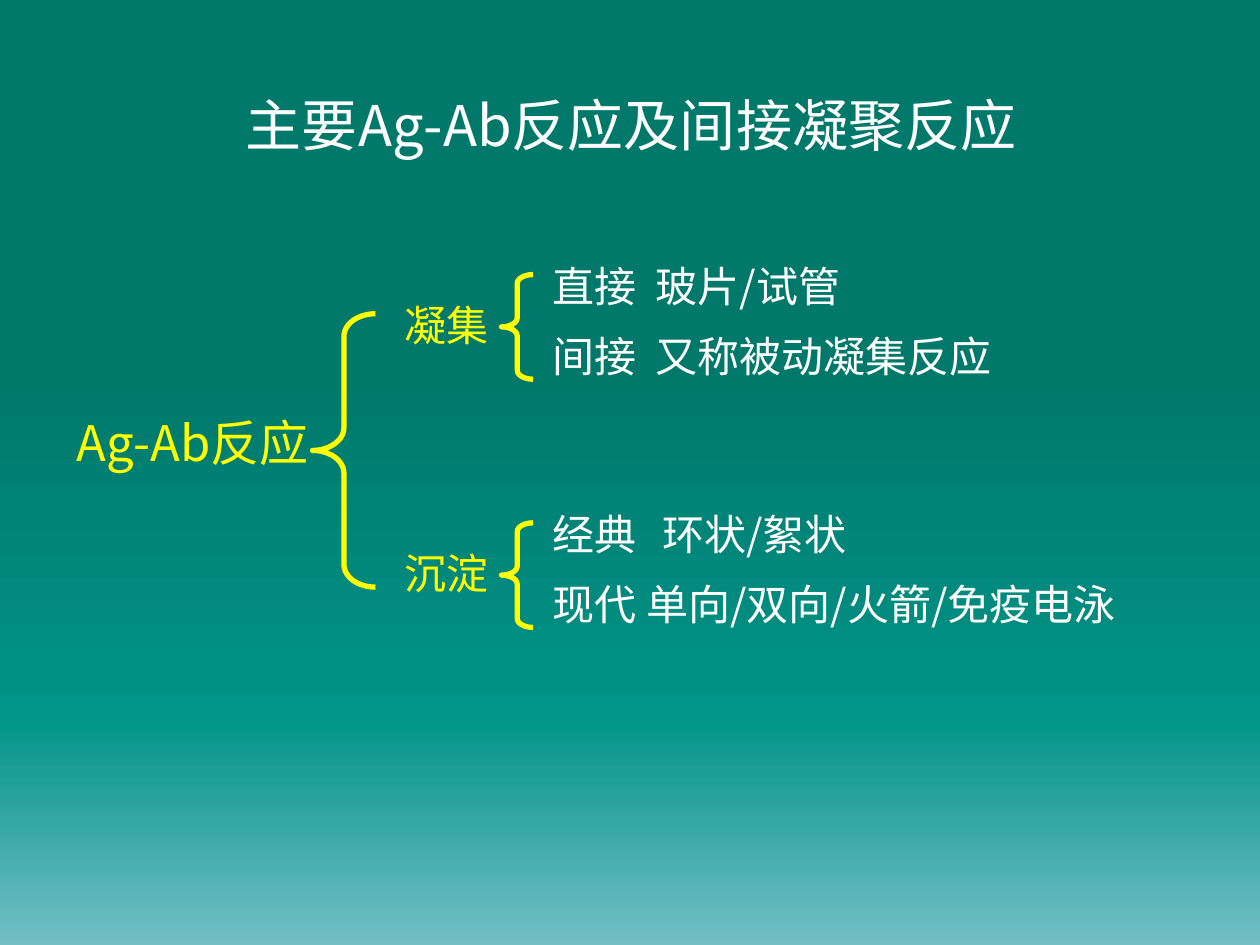
from lxml import etree
from pptx import Presentation
from pptx import util as u
from pptx.dml.color import RGBColor
from pptx.enum import shapes, text
from pptx.oxml import parse_xml
from pptx.oxml.ns import nsdecls, qn

TITLE = "主要Ag-Ab反应及间接凝聚反应"
ROOT = "Ag-Ab反应"
BRANCHES = [
    {"label": "凝集", "kinds": ["直接  玻片/试管", "间接  又称被动凝集反应"], "methods": None},
    {"label": "沉淀", "kinds": ["经典", "现代 单向/双向/火箭/免疫电泳"], "methods": "环状/絮状"},
]
COLORS = {"text": "FFFFFF", "accent": "FFFF00"}
BACKDROP = [(0, "00786A"), (39, "00786A"), (76, "019488"), (100, "72BFC5")]
FONT = "Noto Sans CJK SC"

COLUMNS = {"root": 0.51, "trunk": 2.48, "label": 3.11, "fork": 3.98, "kinds": 4.29, "methods": 5.16}
WIDTHS = {"root": 2.1, "trunk": 0.5, "label": 1.1, "fork": 0.25, "kinds": 5, "methods": 2.75}
FIRST_ROW, ROW_STEP = 2.02, 1.97
LABEL_DROP, FORK_DROP, FORK_HEIGHT = 0.31, 0.16, 0.83
TRUNK_TOP, TRUNK_HEIGHT, ROOT_TOP = 2.49, 2.17, 3.28


def style(paragraph, size, color):
    font = paragraph.font
    font.size = u.Pt(size)
    font.name = FONT
    font.color.rgb = RGBColor.from_string(COLORS[color])
    props = paragraph._p.get_or_add_pPr().find(qn("a:defRPr"))
    etree.SubElement(props, qn("a:ea")).set("typeface", FONT)


def add_words(slide, column, top, lines, color, size=24):
    height = 0.5 * len(lines)
    box = slide.shapes.add_textbox(
        u.Inches(COLUMNS[column]), u.Inches(top), u.Inches(WIDTHS[column]), u.Inches(height))
    frame = box.text_frame
    frame.word_wrap = True
    frame.auto_size = text.MSO_AUTO_SIZE.SHAPE_TO_FIT_TEXT
    frame.text = "\n".join(lines)
    for index, paragraph in enumerate(frame.paragraphs):
        if index:
            paragraph.space_before = u.Pt(11)
        style(paragraph, size, color)
    return frame


def add_brace(slide, column, top, height, curve):
    brace = slide.shapes.add_shape(
        shapes.MSO_SHAPE.LEFT_BRACE, u.Inches(COLUMNS[column]), u.Inches(top),
        u.Inches(WIDTHS[column]), u.Inches(height))
    brace.shadow.inherit = False
    brace.fill.background()
    brace.line.color.rgb = RGBColor.from_string(COLORS["accent"])
    brace.line.width = u.Pt(3)
    brace.adjustments[0] = curve


def paint_backdrop(slide):
    fill = slide.background.fill
    fill.gradient()
    fill.gradient_angle = 270
    stops = slide.background._cSld.find(".//" + qn("a:gsLst"))
    for stop in list(stops):
        stops.remove(stop)
    for percent, color in BACKDROP:
        stops.append(parse_xml(
            f'<a:gs {nsdecls("a")} pos="{percent * 1000}"><a:srgbClr val="{color}"/></a:gs>'))


def main():
    deck = Presentation()
    deck.slide_width, deck.slide_height = u.Inches(10), u.Inches(7.5)
    slide = deck.slides.add_slide(deck.slide_layouts[5])
    paint_backdrop(slide)

    title = slide.shapes.title
    title.left, title.top, title.width, title.height = map(u.Inches, (0.51, 0.36, 9, 1.25))
    title.text_frame.text = TITLE
    title.text_frame.vertical_anchor = text.MSO_ANCHOR.MIDDLE
    heading = title.text_frame.paragraphs[0]
    heading.alignment = text.PP_ALIGN.CENTER
    style(heading, 32, "text")

    root = add_words(slide, "root", ROOT_TOP, [ROOT], "accent", 28)
    root.paragraphs[0].line_spacing = 0.9
    add_brace(slide, "trunk", TRUNK_TOP, TRUNK_HEIGHT, 0.36)

    for row, branch in enumerate(BRANCHES):
        top = FIRST_ROW + row * ROW_STEP
        add_words(slide, "label", top + LABEL_DROP, [branch["label"]], "accent")
        add_brace(slide, "fork", top + FORK_DROP, FORK_HEIGHT, 0.28)
        add_words(slide, "kinds", top, branch["kinds"], "text")
        if branch["methods"]:
            add_words(slide, "methods", top, [branch["methods"]], "text")

    deck.save("out.pptx")


if __name__ == "__main__":
    main()
